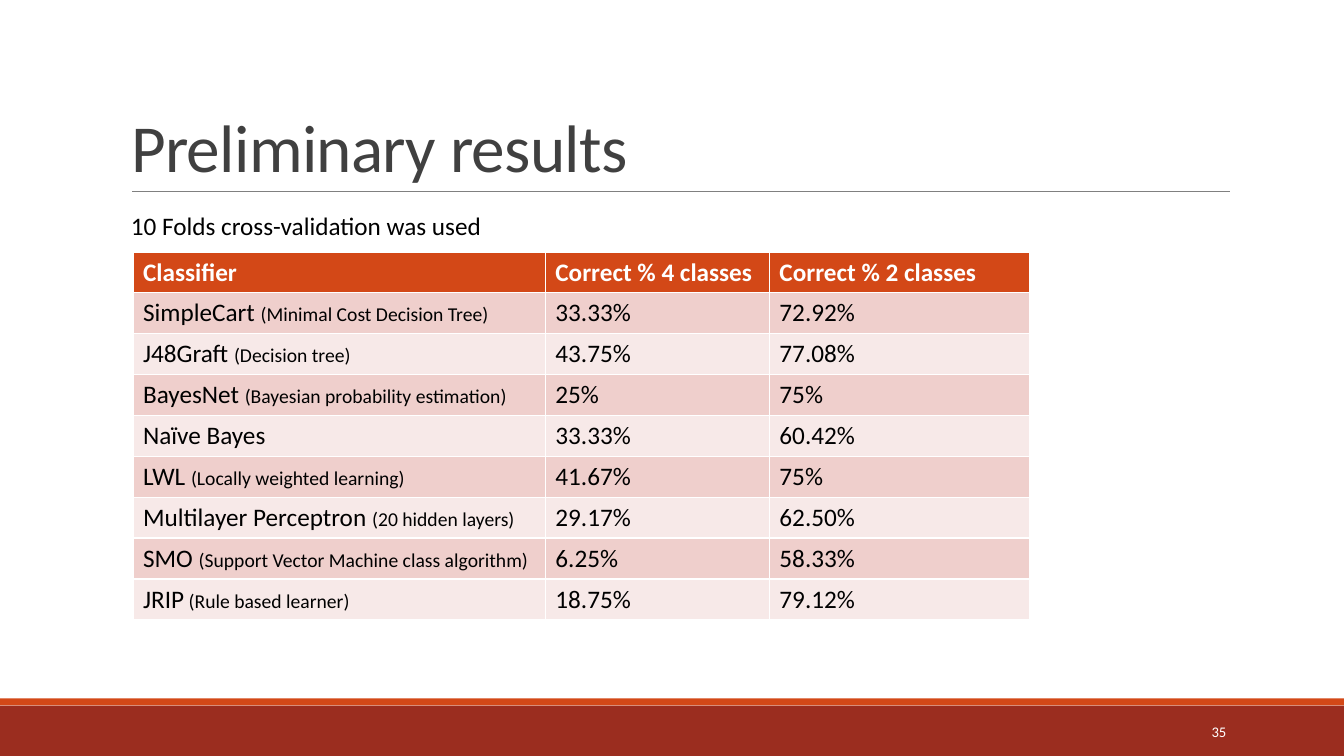
from pptx import Presentation, util as u
from pptx.dml.color import RGBColor
from pptx.enum import shapes as sh, text as tx
from pptx.oxml.ns import qn
from lxml import etree

WIDE, HIGH = u.Inches(13.33), u.Inches(7.5)
FONT = "Calibri"
RUST, RED, WHITE, BLACK = "D34817", "9B2D1F", "FFFFFF", "000000"
BANDS = ["EFCFCC", "F7E9E8"]
SHARES = [0.46, 0.25, 0.29]

HEAD = ["Classifier", "Correct % 4 classes", "Correct % 2 classes"]
# Name, note, share correct for 4 and for 2 classes
ROWS = [
    ("SimpleCart ", "(Minimal Cost Decision Tree)", "33.33%", "72.92%"),
    ("J48Graft ", "(Decision tree)", "43.75%", "77.08%"),
    ("BayesNet ", "(Bayesian probability estimation)", "25%", "75%"),
    ("Naïve Bayes", "", "33.33%", "60.42%"),
    ("LWL ", "(Locally weighted learning)", "41.67%", "75%"),
    ("Multilayer Perceptron ", "(20 hidden layers)", "29.17%", "62.50%"),
    ("SMO ", "(Support Vector Machine class algorithm)", "6.25%", "58.33%"),
    ("JRIP", " (Rule based learner)", "18.75%", "79.12%"),
]


def area(left, top, width, height):
    """Turn percentages of the slide into lengths."""
    return (int(WIDE * left / 100), int(HIGH * top / 100),
            int(WIDE * width / 100), int(HIGH * height / 100))


def paint(part, color):
    part.solid()
    part.fore_color.rgb = RGBColor.from_string(color)


def write(frame, words, size=18, color=BLACK, bold=False, align=None,
          anchor=None, track=None):
    """Add a run to the first paragraph of a frame and format it."""
    para = frame.paragraphs[0]
    run = para.add_run()
    run.text = words
    run.font.name, run.font.size, run.font.bold = FONT, u.Pt(size), bold
    paint(run.font.fill, color)
    if align is not None:
        para.alignment = align
    if anchor is not None:
        frame.vertical_anchor = anchor
    if track is not None:
        run.font._element.set("spc", str(track))
    return para


def label(slide, box, words, **style):
    frame = slide.shapes.add_textbox(*box).text_frame
    frame.word_wrap = True
    write(frame, words, **style)


def footer(slide, box, number):
    # Dark band with a thin strip on its top edge
    left, top, width, height = box
    strip = int(height * 0.14)
    for y, tall, color in [(top, height, RED), (top - strip, strip, RUST)]:
        bar = slide.shapes.add_shape(sh.MSO_SHAPE.RECTANGLE,
                                     left, y, width, tall)
        bar.shadow.inherit = False
        paint(bar.fill, color)
        bar.line.fill.background()
    # Page number
    label(slide, area(81.25, 94.13, 10.73, 5.33), number, size=10.5,
          color=WHITE, align=tx.PP_ALIGN.RIGHT,
          anchor=tx.MSO_ANCHOR.MIDDLE)


def header(slide, box, words):
    # Title
    title = slide.shapes.title
    title.left, title.top, title.width, title.height = box
    title.text_frame.auto_size = tx.MSO_AUTO_SIZE.NONE
    para = write(title.text_frame, words, size=48, color="404040",
                 align=tx.PP_ALIGN.LEFT, anchor=tx.MSO_ANCHOR.BOTTOM,
                 track=-50)
    para.line_spacing = 0.85
    # Rule under the title
    left, top, width, height = box
    y, inset = top + height, int(width * 0.01)
    rule = slide.shapes.add_connector(sh.MSO_CONNECTOR.STRAIGHT,
                                      left + inset, y, left + width, y)
    paint(rule.line.fill, "808080")
    rule.line.width = u.Pt(0.5)
    etree.SubElement(rule._element.spPr, qn("a:effectLst"))


def scores(slide, box):
    table = slide.shapes.add_table(len(ROWS) + 1, len(HEAD), *box).table
    for col, share in zip(table.columns, SHARES):
        col.width = int(box[2] * share)
    # Heading row
    for cell, words in zip(table.rows[0].cells, HEAD):
        paint(cell.fill, RUST)
        write(cell.text_frame, words, color=WHITE, bold=True)
    # Banded rows
    for i, (name, note, *marks) in enumerate(ROWS):
        cells = list(table.rows[i + 1].cells)
        for cell, words in zip(cells, [name, *marks]):
            paint(cell.fill, BANDS[i % 2])
            write(cell.text_frame, words)
        if note:
            write(cells[0].text_frame, note, size=14)


def main():
    deck = Presentation()
    deck.slide_width, deck.slide_height = WIDE, HIGH
    slide = deck.slides.add_slide(deck.slide_layouts[5])
    footer(slide, area(0, 93.33, 100, 6.67), "35")
    header(slide, area(9, 4.13, 82.5, 21.2), "Preliminary results")
    scores(slide, area(9.9, 33.33, 66.69, 48.67))
    label(slide, area(9, 27.2, 62.87, 5.33),
          "10 Folds cross-validation was used")
    deck.save("out.pptx")


if __name__ == "__main__":
    main()
